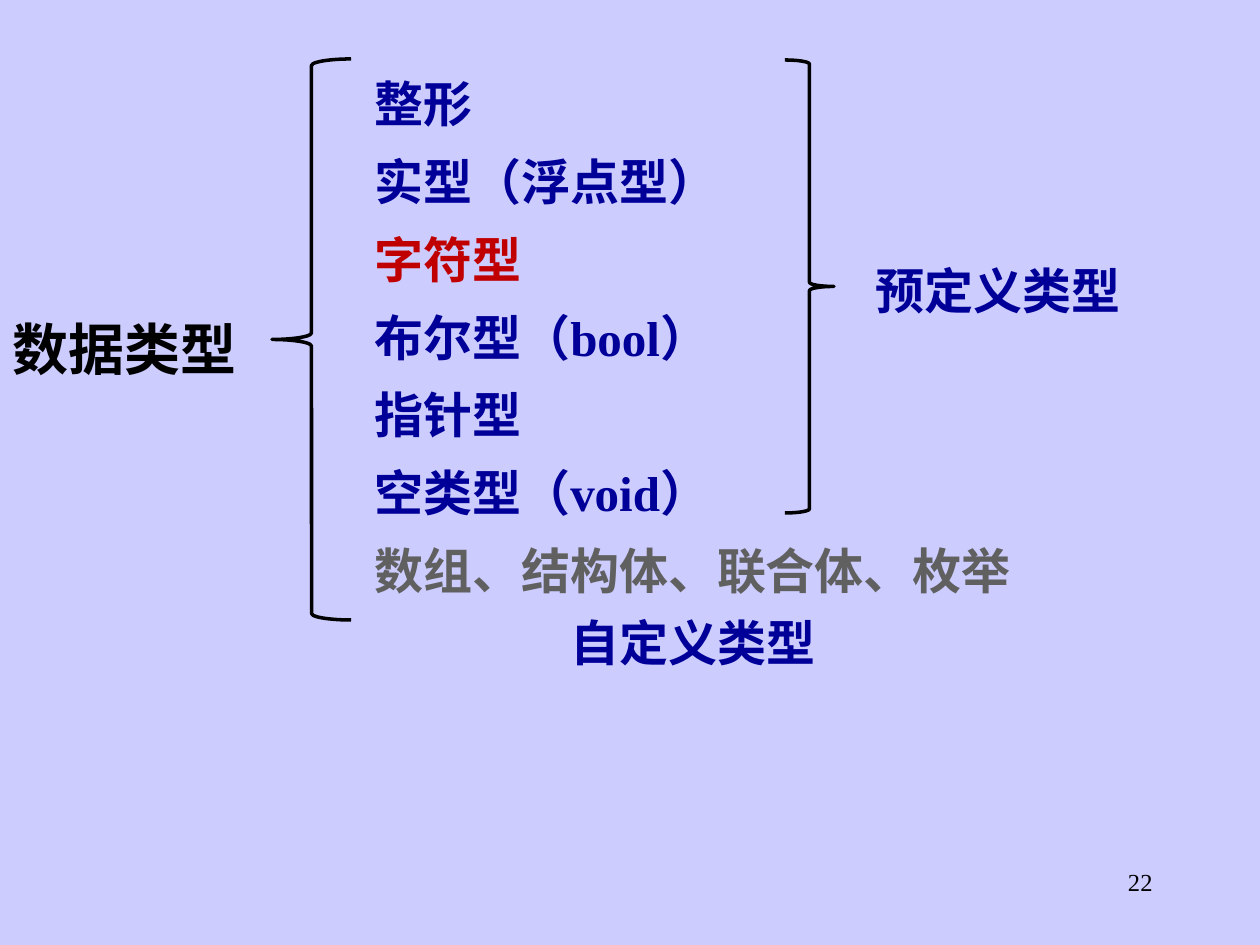
from lxml import etree
from pptx import Presentation
from pptx.dml.color import RGBColor
from pptx.enum.shapes import MSO_SHAPE
from pptx.enum.text import MSO_ANCHOR, MSO_AUTO_SIZE, PP_ALIGN
from pptx.oxml.ns import qn
from pptx.util import Emu, Pt

LEFT_BRACE, RIGHT_BRACE = MSO_SHAPE.LEFT_BRACE, MSO_SHAPE.RIGHT_BRACE
LEFT, RIGHT = PP_ALIGN.LEFT, PP_ALIGN.RIGHT
TOP = MSO_ANCHOR.TOP
FIXED = MSO_AUTO_SIZE.NONE
TITLE_AND_CONTENT = 1
PX_PER_INCH = 126

COLORS = {
    "background": "CCCCFF",
    "ink": "000000",
    "type": "000099",
    "current": "C00000",
    "custom": "606060",
}

TYPES = [
    ("整形", "type"),
    ("实型（浮点型）", "type"),
    ("字符型", "current"),
    ("布尔型（bool）", "type"),
    ("指针型", "type"),
    ("空类型（void）", "type"),
    ("数组、结构体、联合体、枚举", "custom"),
]


def px(length):
    return Emu(length * 914400 // PX_PER_INCH)


def color(name):
    return RGBColor.from_string(COLORS[name])


def apply(target, values):
    for key, value in values.items():
        setattr(target, key, value)


class TypeSlide:
    font = "Times New Roman"
    brace_width = Pt(2)

    def __init__(self, deck):
        self.slide = deck.slides.add_slide(deck.slide_layouts[TITLE_AND_CONTENT])
        fill = self.slide.background.fill
        fill.solid()
        fill.fore_color.rgb = color("background")

    def set_lines(self, shape, lines, size, bold=True, align=LEFT, spacing=1.2, gap=0):
        frame = shape.text_frame
        apply(frame, {"word_wrap": True, "auto_size": FIXED, "vertical_anchor": TOP})
        for index, (text, tint) in enumerate(lines):
            line = frame.add_paragraph() if index else frame.paragraphs[0]
            line.text = text
            apply(line, {
                "alignment": align,
                "line_spacing": spacing,
                "space_before": Pt(gap if index else 0),
            })
            properties = line._p.get_or_add_pPr()
            properties.set("marL", "0")
            properties.set("indent", "0")
            etree.SubElement(properties, qn("a:buNone"))
            apply(line.font, {"name": self.font, "size": Pt(size), "bold": bold})
            line.font.color.rgb = color(tint)

    def place(self, shape, box):
        apply(shape, dict(zip(("left", "top", "width", "height"), map(px, box))))

    def title(self, text, box):
        heading = self.slide.shapes.title
        self.place(heading, box)
        self.set_lines(heading, [(text, "ink")], 32)

    def type_list(self, lines, box):
        body = self.slide.placeholders[1]
        self.place(body, box)
        self.set_lines(body, lines, 28, spacing=0.8, gap=17.5)

    def label(self, text, box, size=28, tint="type", **style):
        caption = self.slide.shapes.add_textbox(*map(px, box))
        self.set_lines(caption, [(text, tint)], size, **style)

    def brace(self, kind, box):
        bracket = self.slide.shapes.add_shape(kind, *map(px, box))
        bracket.shadow.inherit = False
        bracket.fill.background()
        bracket.line.color.rgb = color("ink")
        bracket.line.width = self.brace_width


def main():
    deck = Presentation()
    apply(deck, {"slide_width": px(1260), "slide_height": px(945)})
    slide = TypeSlide(deck)
    slide.title("数据类型", (0, 295, 266, 93))
    slide.brace(LEFT_BRACE, (272, 59, 79, 561))
    slide.type_list(TYPES, (362, 79, 689, 527))
    slide.brace(RIGHT_BRACE, (785, 60, 49, 453))
    slide.label("预定义类型", (863, 243, 335, 83))
    slide.label("自定义类型", (558, 595, 335, 83))
    slide.label("22", (903, 861, 262, 63), 14, "ink", bold=False, align=RIGHT, spacing=1.0)
    deck.save("out.pptx")


if __name__ == "__main__":
    main()
